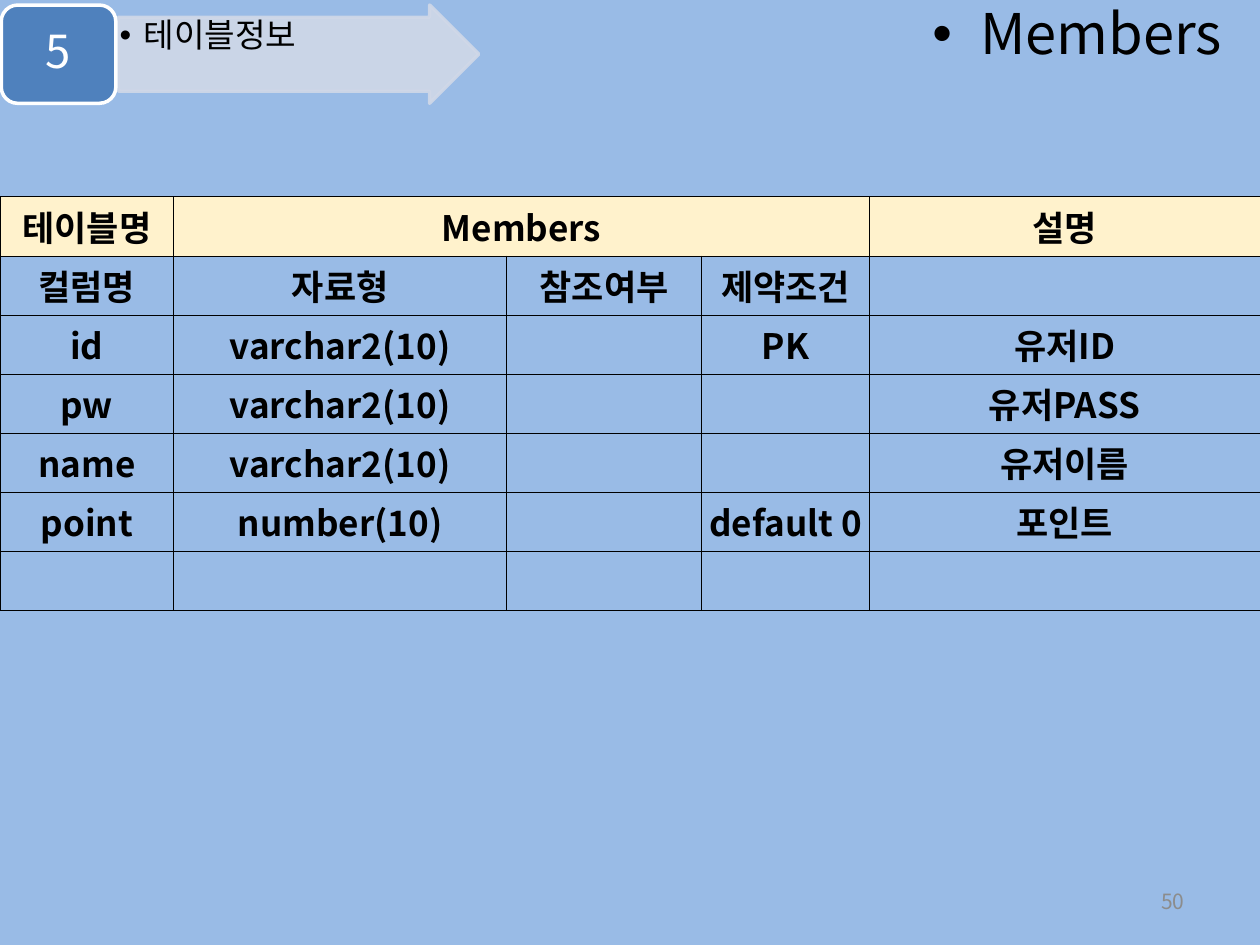
"""Build the slide that describes the columns of the Members table."""
import pptx
import pptx.dml.color
import pptx.enum.shapes
import pptx.enum.text
import pptx.oxml
import pptx.oxml.ns
import pptx.util

RGBColor = pptx.dml.color.RGBColor
Align = pptx.enum.text.PP_ALIGN
Anchor = pptx.enum.text.MSO_ANCHOR
Shape = pptx.enum.shapes.MSO_SHAPE
SKY = RGBColor(0x99, 0xBB, 0xE6)
CREAM = RGBColor(0xFF, 0xF2, 0xCC)
BLUE = RGBColor(0x4F, 0x81, 0xBD)
PALE = RGBColor(0xD0, 0xD8, 0xE8)
GREY = RGBColor(0x8C, 0x8C, 0x8C)
BLACK = RGBColor(0, 0, 0)
WHITE = RGBColor(0xFF, 0xFF, 0xFF)
FONT = "Noto Sans CJK KR"
NS = pptx.oxml.ns.nsdecls("a")

deck = pptx.Presentation()
deck.slide_width = pptx.util.Inches(10)
deck.slide_height = pptx.util.Inches(7.5)
unit = deck.slide_width // 100
slide = deck.slides.add_slide(deck.slide_layouts[5])
slide.background.fill.solid()
slide.background.fill.fore_color.rgb = SKY


def grid(*counts):
    return [round(count * unit) for count in counts]


def write(frame, text, size, color, align, inset, anchor, bold=False, indent=0, spacing=None):
    frame.word_wrap = True
    frame.auto_size = pptx.enum.text.MSO_AUTO_SIZE.NONE
    frame.margin_left = frame.margin_right = round(inset[0] * unit)
    frame.margin_top = frame.margin_bottom = round(inset[1] * unit)
    frame.vertical_anchor = anchor
    frame.text = text
    line = frame.paragraphs[0]
    line.alignment = align
    if spacing:
        line.line_spacing = spacing
    if indent:
        properties = line._p.get_or_add_pPr()
        properties.set("marL", str(round(indent * unit)))
        properties.set("indent", str(-round(indent * unit)))
        properties.append(pptx.oxml.parse_xml(f'<a:buFont {NS} typeface="Arial"/>'))
        properties.append(pptx.oxml.parse_xml(f'<a:buChar {NS} char="•"/>'))
    line.font.size = pptx.util.Pt(size)
    line.font.bold = bold
    line.font.color.rgb = color
    line.font.name = FONT
    line.font._element.append(pptx.oxml.parse_xml(f'<a:ea {NS} typeface="{FONT}"/>'))


column_widths = grid(13.8, 26.4, 15.5, 13.3, 31)
row_height = deck.slide_height // 16
rows = [
    ["테이블명", "Members", "", "", "설명"],
    ["컬럼명", "자료형", "참조여부", "제약조건", ""],
    ["id", "varchar2(10)", "", "PK", "유저ID"],
    ["pw", "varchar2(10)", "", "", "유저PASS"],
    ["name", "varchar2(10)", "", "", "유저이름"],
    ["point", "number(10)", "", "default 0", "포인트"],
    ["", "", "", "", ""],
]
columns = slide.shapes.add_table(
    len(rows), len(column_widths), 0, deck.slide_height * 5 // 24,
    deck.slide_width, row_height * len(rows)).table
for column, width in zip(columns.columns, column_widths):
    column.width = width
for r, row in enumerate(rows):
    columns.rows[r].height = row_height
    for c, text in enumerate(row):
        cell = columns.cell(r, c)
        cell.margin_left = cell.margin_right = cell.margin_top = cell.margin_bottom = 0
        cell.vertical_anchor = Anchor.MIDDLE
        if r == 0:
            cell.fill.solid()
            cell.fill.fore_color.rgb = CREAM
        else:
            cell.fill.background()
        for place, side in enumerate("LRTB"):
            cell._tc.tcPr.insert(place, pptx.oxml.parse_xml(
                f'<a:ln{side} {NS} w="6350"><a:solidFill><a:srgbClr val="{BLACK}"/>'
                f'</a:solidFill></a:ln{side}>'))
        if text:
            cell.text = text
            line = cell.text_frame.paragraphs[0]
            line.alignment = Align.CENTER
            line.font.size = pptx.util.Pt(20)
            line.font.bold = True
            line.font.color.rgb = BLACK
            line.font.name = FONT
            line.font._element.append(pptx.oxml.parse_xml(f'<a:ea {NS} typeface="{FONT}"/>'))
columns.cell(0, 1).merge(columns.cell(0, 3))

page_number = slide.shapes.add_textbox(*grid(71.7, 69.5, 23.3, 4))
write(page_number.text_frame, "50", 12, GREY, Align.RIGHT, (1, 0.5), Anchor.MIDDLE)

arrow = slide.shapes.add_shape(Shape.RIGHT_ARROW, *grid(9.4, 0.4, 28.6, 7.8))
arrow.adjustments[0] = 0.75
badge = slide.shapes.add_shape(Shape.ROUNDED_RECTANGLE, *grid(0.1, 0.4, 9.1, 7.8))
for shape, fill, outline in [(arrow, PALE, PALE), (badge, BLUE, WHITE)]:
    shape.shadow.inherit = False
    shape.fill.solid()
    shape.fill.fore_color.rgb = fill
    shape.line.color.rgb = outline
    shape.line.width = pptx.util.Pt(2)
for color in arrow._element.spPr.iter(pptx.oxml.ns.qn("a:srgbClr")):
    color.append(pptx.oxml.parse_xml(f'<a:alpha {NS} val="90000"/>'))
write(badge.text_frame, "5", 26, WHITE, Align.CENTER, (1.1, 0.5), Anchor.MIDDLE, spacing=0.9)

section = slide.shapes.add_textbox(*grid(9.4, 1.4, 25.7, 5.9))
write(section.text_frame, "테이블정보", 19, BLACK, Align.LEFT, (0.1, 0.1), Anchor.TOP,
      indent=1.9, spacing=0.9)

title = slide.shapes.title
title.left, title.top, title.width, title.height = grid(73, 0, 27, 5.9)
write(title.text_frame, "Members", 32, BLACK, Align.LEFT, (1, 0.5), Anchor.TOP,
      indent=3.8, spacing=0.9)

deck.save("out.pptx")
